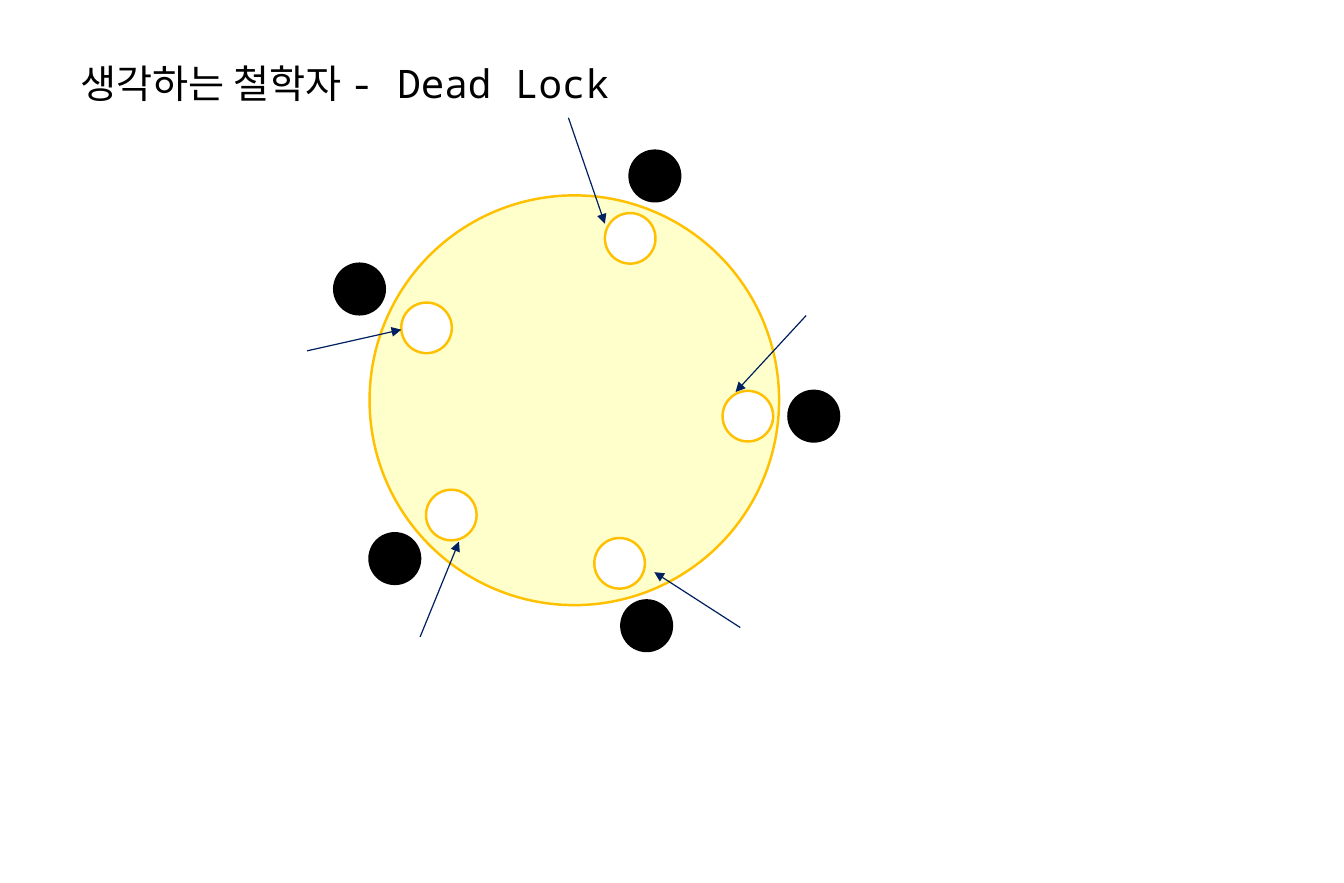
"""Build the dining philosophers deadlock slide."""
from dataclasses import dataclass

from lxml import etree
from pptx import Presentation
from pptx.dml.color import RGBColor
from pptx.enum import shapes, text
from pptx.oxml import ns
from pptx.util import Inches, Pt


@dataclass(frozen=True)
class Theme:
    """Hold the colours, font and sizes of the slide."""
    ink: str = "000000"
    cloth: str = "FFFFCC"
    rim: str = "FFC000"
    plate: str = "FFFFFF"
    arrow: str = "002060"
    font: str = "Noto Sans Mono"
    title: float = 24
    edge: float = 1.5
    thin: float = 0.75


THEME = Theme()
SEAT = 0.43
HEADS = [(5.35, 1.28), (6.7, 3.32), (5.28, 5.1), (3.14, 4.53), (2.84, 2.24)]
PLATES = [(5.14, 1.81), (3.41, 2.57), (3.62, 4.16), (5.05, 4.57), (6.14, 3.32)]
ARROWS = [
    (4.83, 1, 5.14, 1.9),
    (6.85, 2.68, 6.25, 3.33),
    (6.29, 5.33, 5.56, 4.86),
    (3.57, 5.41, 3.9, 4.6),
    (2.61, 2.98, 3.41, 2.8),
]


def color(code):
    """Turn a hex code into a colour."""
    return RGBColor.from_string(code)


def add_title(slide, words):
    """Place and format the slide title."""
    title = slide.shapes.title
    title.left, title.top = Inches(0.58), Inches(0.33)
    title.width, title.height = Inches(5.16), Inches(0.58)
    frame = title.text_frame
    frame.word_wrap = False
    frame.auto_size = text.MSO_AUTO_SIZE.SHAPE_TO_FIT_TEXT
    frame.vertical_anchor = text.MSO_ANCHOR.TOP
    para = frame.paragraphs[0]
    para.alignment = text.PP_ALIGN.LEFT
    para.line_spacing = 1.3
    run = para.add_run()
    run.text = words
    run.font.name = THEME.font
    run.font.size = Pt(THEME.title)
    run.font.color.rgb = color(THEME.ink)


def add_disc(slide, left, top, size, fill, line):
    """Draw a filled circle."""
    disc = slide.shapes.add_shape(
        shapes.MSO_SHAPE.OVAL,
        Inches(left), Inches(top), Inches(size), Inches(size))
    disc.shadow.inherit = False
    disc.fill.solid()
    disc.fill.fore_color.rgb = color(fill)
    disc.line.color.rgb = color(line)
    disc.line.width = Pt(THEME.edge)


def add_arrow(slide, *ends):
    """Draw a thin arrow from its first point to its second."""
    arrow = slide.shapes.add_connector(
        shapes.MSO_CONNECTOR.STRAIGHT, *map(Inches, ends))
    arrow.line.color.rgb = color(THEME.arrow)
    arrow.line.width = Pt(THEME.thin)
    props = arrow.element.spPr
    etree.SubElement(props.find(ns.qn("a:ln")), ns.qn("a:tailEnd"),
                     type="triangle")
    etree.SubElement(props, ns.qn("a:effectLst"))


def main():
    """Build and save the slide."""
    deck = Presentation()
    deck.slide_width, deck.slide_height = Inches(11.42), Inches(7.5)
    slide = deck.slides.add_slide(deck.slide_layouts.get_by_name("Title Only"))
    add_title(slide, "생각하는 철학자 - Dead Lock")
    add_disc(slide, 3.14, 1.66, 3.48, THEME.cloth, THEME.rim)
    for left, top in HEADS:
        add_disc(slide, left, top, SEAT, THEME.ink, THEME.ink)
    for left, top in PLATES:
        add_disc(slide, left, top, SEAT, THEME.plate, THEME.rim)
    for ends in ARROWS:
        add_arrow(slide, *ends)
    deck.save("out.pptx")


if __name__ == "__main__":
    main()
